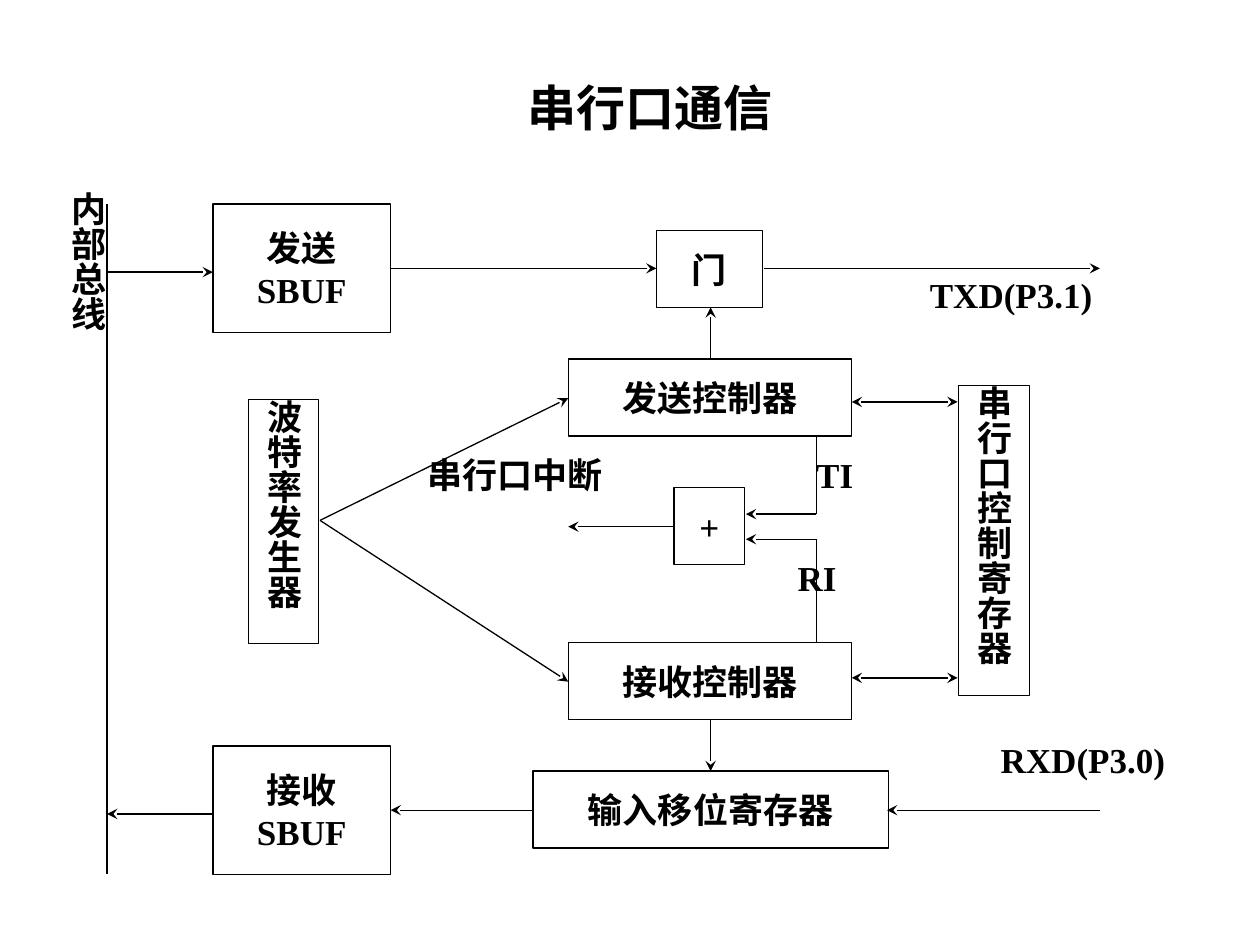
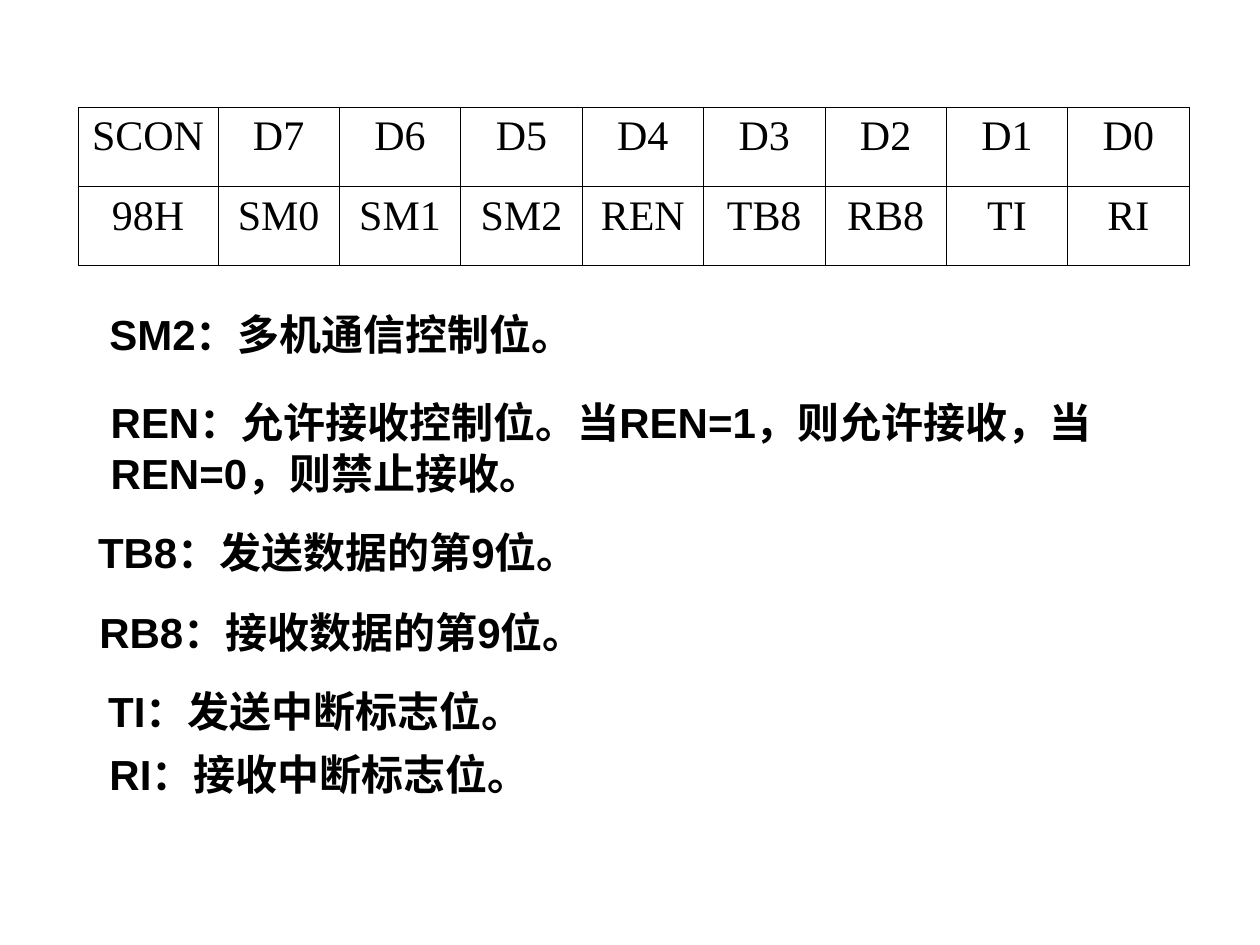
from dataclasses import dataclass

from lxml.etree import SubElement
from pptx import Presentation
from pptx.dml.color import RGBColor
from pptx.enum.shapes import MSO_CONNECTOR, MSO_SHAPE
from pptx.enum.text import MSO_ANCHOR, MSO_AUTO_SIZE, PP_ALIGN
from pptx.oxml import parse_xml
from pptx.oxml.ns import nsdecls, qn
from pptx.shapes.base import BaseShape
from pptx.slide import Slide
from pptx.table import _Cell
from pptx.text.text import TextFrame, _Paragraph
from pptx.util import Inches, Pt

BLACK = RGBColor(0, 0, 0)
WHITE = RGBColor(255, 255, 255)
SANS = "Arial"
SERIF = "Times New Roman"
FLAT = (0.1, 0.05)
UPRIGHT = (0.05, 0.1)
NONE = (0, 0)


@dataclass
class Block:
    text: str
    left: float
    top: float
    width: float
    height: float
    vertical: bool = False
    inset: tuple[float, float] = FLAT

    def place(self) -> tuple[int, ...]:
        return tuple(map(Inches, (self.left, self.top, self.width, self.height)))


@dataclass
class Wire:
    """A line from (x1, y1) to (x2, y2); tips names the ends with arrowheads."""
    x1: float
    y1: float
    x2: float
    y2: float
    tips: tuple[str, ...] = ("tailEnd",)


BOTH = ("headEnd", "tailEnd")

TITLE = Block("串行口通信", 4.09, 0.56, 2.14, 0.57)

BOXES = [
    Block("发送SBUF", 1.69, 1.62, 1.41, 1.02),
    Block("接收SBUF", 1.69, 5.92, 1.41, 1.02),
    Block("发送控制器", 4.51, 2.85, 2.25, 0.61),
    Block("接收控制器", 4.51, 5.1, 2.25, 0.61),
    Block("输入移位寄存器", 4.23, 6.12, 2.82, 0.61),
    Block("串行口控制寄存器", 7.61, 3.06, 0.56, 2.46, True, NONE),
    Block("波特率发生器", 1.97, 3.17, 0.56, 1.94, True, NONE),
    Block("门", 5.21, 1.83, 0.84, 0.61),
    Block("+", 5.35, 3.87, 0.56, 0.61),
]

LABELS = [
    Block("串行口中断", 3.1, 3.46, 1.97, 0.61),
    Block("内部总线", 0.28, 1.42, 0.84, 2.05, True, UPRIGHT),
    Block("RXD(P3.0)", 7.61, 5.72, 1.97, 0.61),
    Block("TXD(P3.1)", 7.04, 2.03, 1.97, 0.61),
    Block("RI", 5.92, 4.28, 1.13, 0.61),
    Block("TI", 5.92, 3.46, 1.41, 0.61),
]

WIRES = [
    # Internal bus
    Wire(0.85, 1.62, 0.85, 6.94, ()),
    Wire(0.85, 2.16, 1.69, 2.16),
    Wire(1.69, 6.46, 0.85, 6.46),
    # Sending path
    Wire(3.1, 2.13, 5.21, 2.13),
    Wire(6.06, 2.13, 8.73, 2.13),
    Wire(5.64, 2.85, 5.64, 2.44),
    # Receiving path
    Wire(8.73, 6.43, 7.04, 6.43),
    Wire(4.23, 6.43, 3.1, 6.43),
    Wire(5.64, 5.71, 5.64, 6.12),
    # Interrupt flags
    Wire(6.48, 3.46, 6.48, 4.08, ()),
    Wire(6.48, 4.08, 5.92, 4.08),
    Wire(6.48, 5.1, 6.48, 4.28, ()),
    Wire(6.48, 4.28, 5.92, 4.28),
    Wire(5.35, 4.18, 4.51, 4.18),
    # Baud rate and control register
    Wire(2.54, 4.13, 4.51, 3.16),
    Wire(2.54, 4.13, 4.51, 5.41),
    Wire(7.6, 3.19, 6.76, 3.19, BOTH),
    Wire(7.6, 5.38, 6.76, 5.38, BOTH),
]

BITS = [
    ["SCON", "D7", "D6", "D5", "D4", "D3", "D2", "D1", "D0"],
    ["98H", "SM0", "SM1", "SM2", "REN", "TB8", "RB8", "TI", "RI"],
]

NOTES = [
    Block("SM2：多机通信控制位。", 0.77, 2.4, 4.04, 0.5),
    Block("REN：允许接收控制位。当REN=1，则允许接收，当REN=0，则禁止接收。",
          0.78, 3.1, 8.35, 0.9),
    Block("TB8：发送数据的第9位。", 0.68, 4.13, 4.33, 0.5),
    Block("RB8：接收数据的第9位。", 0.69, 4.76, 4.37, 0.5),
    Block("TI：发送中断标志位。", 0.76, 5.39, 3.65, 0.5),
    Block("RI：接收中断标志位。", 0.77, 5.89, 3.69, 0.5),
]


def style(para: _Paragraph, size: int, face: str, bold: bool, align: PP_ALIGN) -> None:
    para.alignment = align
    font = para.font
    font.size, font.name, font.bold = Pt(size), face, bold
    font.color.rgb = BLACK


def fill_text(frame: TextFrame, block: Block, size: int = 20, face: str = SERIF,
              align: PP_ALIGN = PP_ALIGN.CENTER, wrap: bool = True) -> None:
    frame.text = block.text
    frame.word_wrap = wrap
    frame.vertical_anchor = MSO_ANCHOR.MIDDLE
    side, edge = map(Inches, block.inset)
    frame.margin_left = frame.margin_right = side
    frame.margin_top = frame.margin_bottom = edge
    if block.vertical:
        frame._txBody.bodyPr.set("vert", "eaVert")
    style(frame.paragraphs[0], size, face, True, align)


def add_box(slide: Slide, block: Block) -> None:
    shape = slide.shapes.add_shape(MSO_SHAPE.RECTANGLE, *block.place())
    shape.shadow.inherit = False
    shape.fill.solid()
    shape.fill.fore_color.rgb = WHITE
    outline(shape)
    fill_text(shape.text_frame, block)


def add_label(slide: Slide, block: Block) -> None:
    fill_text(slide.shapes.add_textbox(*block.place()).text_frame, block)


def add_note(slide: Slide, block: Block, size: int) -> None:
    """Add left-aligned sans text; only boxes taller than one line wrap."""
    frame = slide.shapes.add_textbox(*block.place()).text_frame
    fill_text(frame, block, size, SANS, PP_ALIGN.LEFT, block.height > 0.6)
    frame.auto_size = MSO_AUTO_SIZE.SHAPE_TO_FIT_TEXT


def outline(shape: BaseShape) -> None:
    shape.line.color.rgb = BLACK
    shape.line.width = Pt(0.75)


def add_wire(slide: Slide, wire: Wire) -> None:
    ends = map(Inches, (wire.x1, wire.y1, wire.x2, wire.y2))
    line = slide.shapes.add_connector(MSO_CONNECTOR.STRAIGHT, *ends)
    outline(line)
    for tip in wire.tips:
        SubElement(line.line._get_or_add_ln(), qn(f"a:{tip}"), type="stealth")
    SubElement(line._element.spPr, qn("a:effectLst"))


def set_border(cell: _Cell, width: float) -> None:
    props = cell._tc.get_or_add_tcPr()
    for index, side in enumerate("LRTB"):
        props.insert(index, parse_xml(
            f'<a:ln{side} {nsdecls("a")} w="{Pt(width)}"><a:solidFill>'
            f'<a:srgbClr val="{BLACK}"/></a:solidFill></a:ln{side}>'))


def add_bits(slide: Slide) -> None:
    """Add the SCON bit table: a wider name column, then equal bit columns."""
    count = len(BITS[0])
    total, first = Inches(8.82), Inches(1.11)
    table = slide.shapes.add_table(len(BITS), count, Inches(0.62), Inches(0.85),
                                   total, Inches(1.26)).table
    table.first_row = table.horz_banding = False
    for index, column in enumerate(table.columns):
        column.width = (total - first) // (count - 1) if index else first
    for row, (names, width) in enumerate(zip(BITS, (0.34, 0.45))):
        for col, name in enumerate(names):
            cell = table.cell(row, col)
            cell.text = name
            cell.fill.background()
            set_border(cell, width)
            style(cell.text_frame.paragraphs[0], 24, SERIF, False, PP_ALIGN.CENTER)


def main() -> None:
    deck = Presentation()
    deck.slide_width, deck.slide_height = Inches(10), Inches(7.5)
    blank = deck.slide_layouts[6]

    port = deck.slides.add_slide(blank)
    add_note(port, TITLE, 28)
    for box in BOXES:
        add_box(port, box)
    for wire in WIRES:
        add_wire(port, wire)
    for label in LABELS:
        add_label(port, label)

    scon = deck.slides.add_slide(blank)
    for note in NOTES:
        add_note(scon, note, 24)
    add_bits(scon)

    deck.save("out.pptx")


if __name__ == "__main__":
    main()
